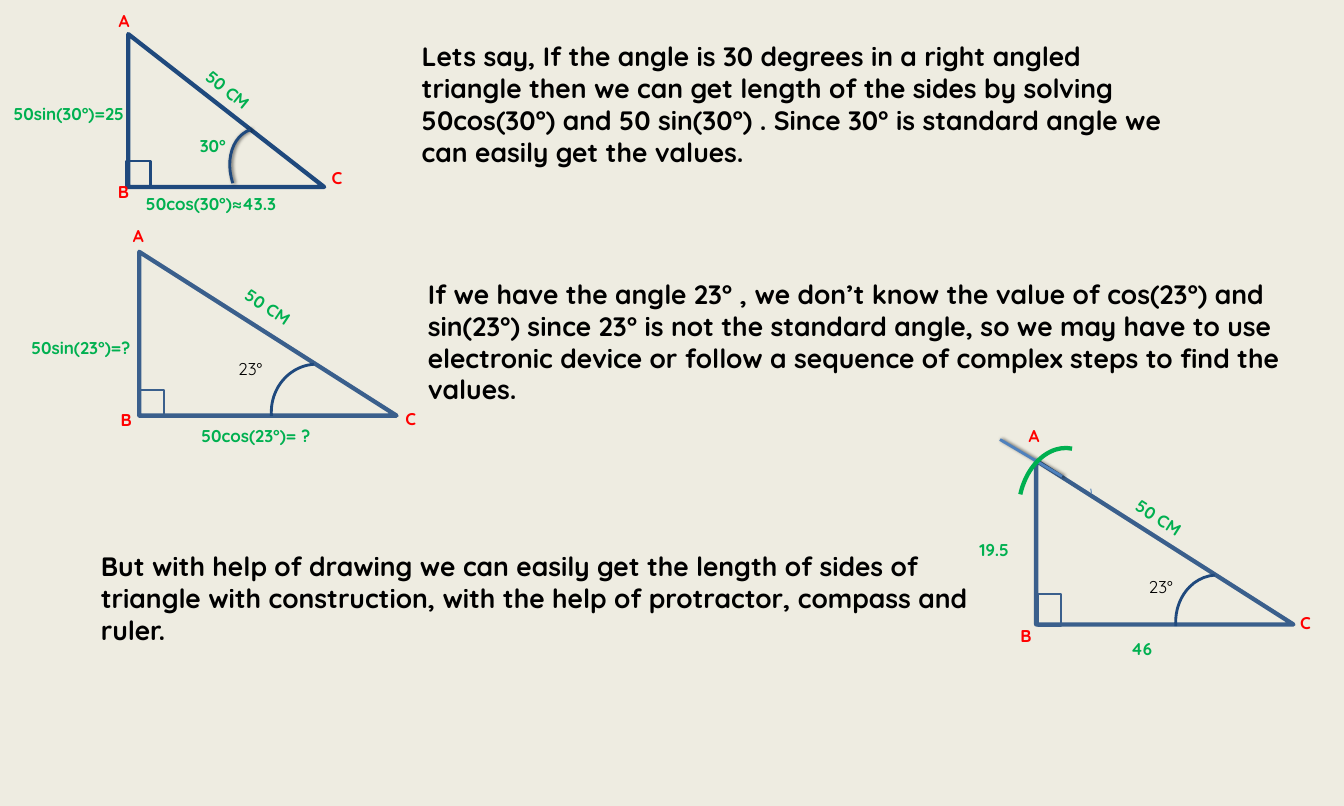
from lxml.etree import SubElement
from pptx import Presentation
from pptx.dml.color import RGBColor
from pptx.enum.shapes import MSO_CONNECTOR, MSO_SHAPE
from pptx.oxml.ns import qn
from pptx.util import Inches, Pt

NAVY = RGBColor(0x1F, 0x49, 0x7D)
STEEL = RGBColor(0x3A, 0x5F, 0x8C)
BLUE = RGBColor(0x4F, 0x81, 0xBD)
TICK = RGBColor(0x4B, 0x7E, 0xBC)
GREEN = RGBColor(0x00, 0xB0, 0x50)
RED = RGBColor(0xFF, 0x00, 0x00)
BLACK = RGBColor(0x00, 0x00, 0x00)
CREAM = RGBColor(0xEE, 0xEC, 0xE1)

NOTES = [
    ("Lets say, If the angle is 30 degrees in a right angled triangle then we can get "
     "length of the sides by solving 50cos(30°) and 50 sin(30°) . Since 30° is standard "
     "angle we can easily get the values.", (6.08, 0.54, 11.32, 1.99)),
    ("If we have the angle 23° , we don’t know the value of cos(23°) and sin(23°) since "
     "23° is not the standard angle, so we may have to use electronic device or follow a "
     "sequence of complex steps to find the values.", (6.17, 4.02, 13.4, 1.99)),
    ("But with help of drawing we can easily get the length of sides of triangle with "
     "construction, with the help of protractor, compass and ruler.",
     (1.38, 8.01, 13.23, 1.51)),
]

FIGURES = [
    {"sides": (1.88, 0.5, 2.87, 2.24), "ink": NAVY,
     "square": (1.85, 2.36, 0.35, 0.38), "edge": 3,
     "arc": (3.22, 2.03, 1.32, 0.99), "turn": 251.3, "shade": True,
     "corners": [("A", 1.64, 0.11), ("B", 1.63, 2.61), ("C", 4.76, 2.4)],
     "angle": ("30°", 2.83, 1.94), "mark": {"color": GREEN},
     "lengths": [("50sin(30°)=25", 0.1, 1.46, 2.15), ("50cos(30°)≈43.3", 2.04, 2.79, 2.23)],
     "slope": (2.81, 1.3, 1.51, 39.2)},
    {"sides": (2.04, 3.69, 3.77, 2.4), "ink": STEEL,
     "square": (2.04, 5.72, 0.36, 0.38), "edge": 2,
     "arc": (3.94, 5.37, 1.42, 1.35), "turn": 266, "shade": False,
     "corners": [("A", 1.85, 3.26), ("B", 1.67, 5.95), ("C", 5.84, 5.94)],
     "angle": ("23°", 3.39, 5.2), "mark": {"color": BLACK, "bold": False},
     "lengths": [("50sin(23°)=?", 0.36, 4.89, 2.04), ("50cos(23°)= ?", 2.85, 6.18, 1.92)],
     "slope": (3.42, 4.44, 1.44, 33.6)},
    {"sides": (15.18, 6.75, 3.77, 2.4), "ink": STEEL,
     "square": (15.21, 8.7, 0.34, 0.47), "edge": 2,
     "arc": (17.14, 8.51, 1.41, 1.24), "turn": 266, "shade": False,
     "corners": [("A", 14.97, 6.18), ("B", 14.85, 9.12), ("C", 18.95, 8.92)],
     "angle": ("23°", 16.73, 8.39), "mark": {"color": BLACK, "bold": False},
     "lengths": [("19.5", 14.25, 7.86, 0.9), ("46", 16.47, 9.3, 0.6)],
     "slope": (16.49, 7.46, 1.21, 32.4)},
]

RULES = [((15.98, 7.16), (15.99, 7.22), TICK, 1, False),
         ((15.56, 6.98), (14.65, 6.44), BLUE, 3, True)]
SWEEP = (14.72, 6.77, 1.63, 1.2)
LABEL = 0.4


def write(slide, text, box, size=18, color=BLACK, bold=True, turn=0):
    """Add a wrapped text box with one formatted run."""
    area = slide.shapes.add_textbox(*map(Inches, box))
    area.rotation = turn
    area.text_frame.word_wrap = True
    run = area.text_frame.paragraphs[0].add_run()
    run.text = text
    font = run.font
    font.name, font.size, font.bold = "Quicksand", Pt(size), bold
    font.color.rgb = color


def style(item, color, width, shade=False):
    """Set the line of a shape or connector and its shadow, if any."""
    item.line.color.rgb = color
    item.line.width = Pt(width)
    effects = SubElement(item.element.spPr, qn("a:effectLst"))
    if shade:
        cast = SubElement(effects, qn("a:outerShdw"), blurRad=str(Pt(4)),
                          dist=str(Pt(2)), dir="0", rotWithShape="0")
        tone = SubElement(cast, qn("a:srgbClr"), val=str(BLACK))
        SubElement(tone, qn("a:alpha"), val="60000")


def outline(slide, kind, box, color, width, turn=0, shade=False):
    """Add an unfilled preset shape."""
    shape = slide.shapes.add_shape(kind, *map(Inches, box))
    shape.fill.background()
    shape.rotation = turn
    style(shape, color, width, shade)


def draw(slide, figure):
    """Draw one right triangle with its marks and labels."""
    ink = figure["ink"]
    outline(slide, MSO_SHAPE.RIGHT_TRIANGLE, figure["sides"], ink, 4.5)
    outline(slide, MSO_SHAPE.RECTANGLE, figure["square"], ink, figure["edge"])
    outline(slide, MSO_SHAPE.ARC, figure["arc"], NAVY, 3, figure["turn"], figure["shade"])
    for name, left, top in figure["corners"]:
        write(slide, name, (left, top, 0.6, LABEL), color=RED)
    text, left, top = figure["angle"]
    write(slide, text, (left, top, 0.7, LABEL), **figure["mark"])
    for text, left, top, width in figure["lengths"]:
        write(slide, text, (left, top, width, LABEL), color=GREEN)
    left, top, width, turn = figure["slope"]
    write(slide, "50 CM", (left, top, width, LABEL), color=GREEN, turn=turn)


def main():
    """Build the slide and save it."""
    deck = Presentation()
    deck.slide_width, deck.slide_height = Inches(19.69), Inches(11.81)
    slide = deck.slides.add_slide(deck.slide_layouts[6])
    slide.background.fill.solid()
    slide.background.fill.fore_color.rgb = CREAM
    for figure in FIGURES:
        draw(slide, figure)
    for text, box in NOTES:
        write(slide, text, box, size=28)
    for start, end, color, width, shade in RULES:
        rule = slide.shapes.add_connector(MSO_CONNECTOR.STRAIGHT, *map(Inches, start + end))
        style(rule, color, width, shade)
    outline(slide, MSO_SHAPE.ARC, SWEEP, GREEN, 4.5, 282.2)
    deck.save("out.pptx")


if __name__ == "__main__":
    main()
